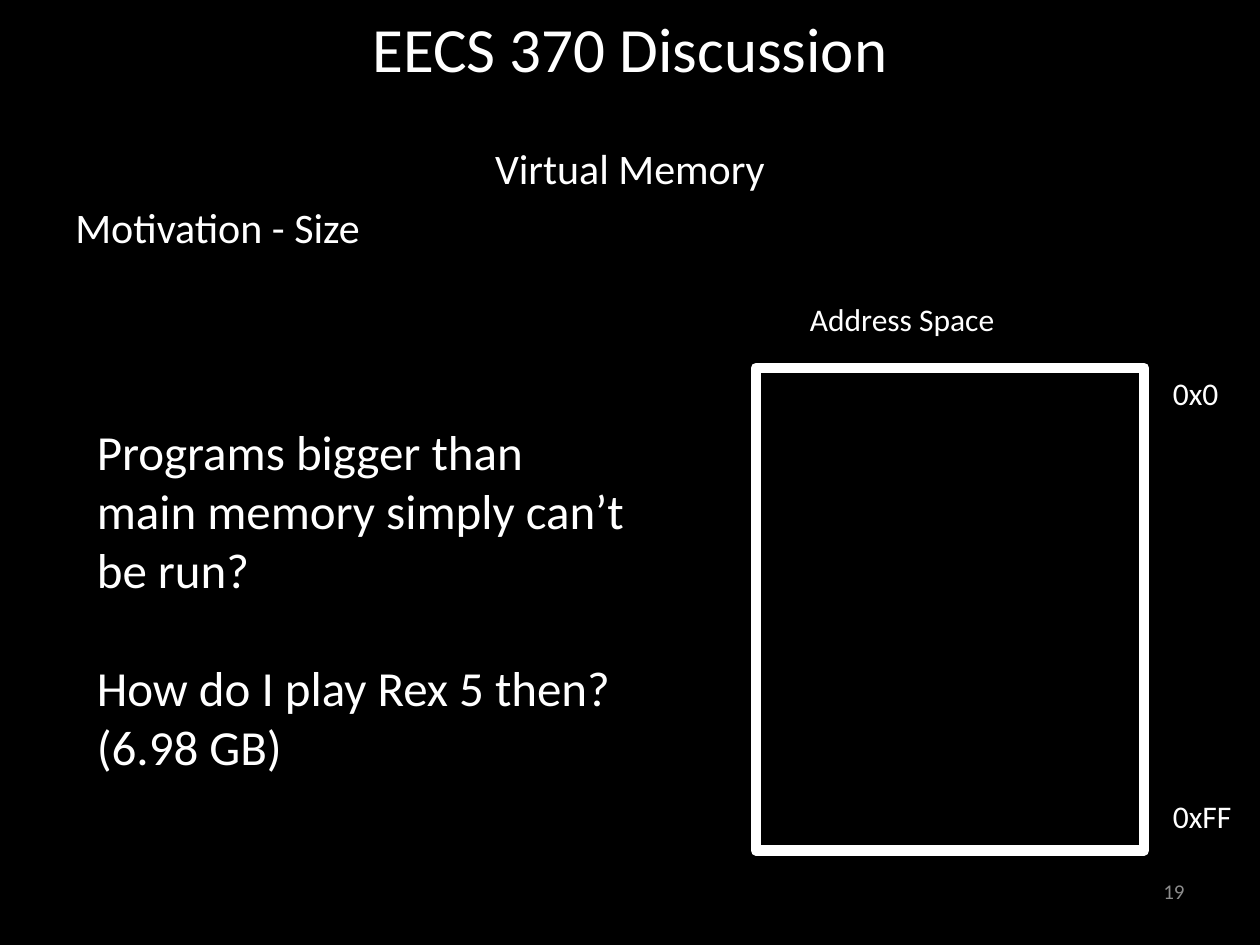
import pptx
import pptx.dml.color
import pptx.enum.shapes
import pptx.enum.text
import pptx.oxml.ns
import pptx.util
from lxml import etree

Inches = pptx.util.Inches
Pt = pptx.util.Pt
ALIGN = pptx.enum.text.PP_ALIGN
ANCHOR = pptx.enum.text.MSO_ANCHOR

COLORS = {"background": "000000", "text": "FFFFFF", "number": "8C8C8C"}


def color(name):
    return pptx.dml.color.RGBColor.from_string(COLORS[name])


class SlideBuilder:
    font_name = "Calibri"

    def __init__(self, slide):
        self.slide = slide
        slide.background.fill.solid()
        slide.background.fill.fore_color.rgb = color("background")

    def set_text(self, shape, paragraphs, size, color_name="text", anchor=ANCHOR.TOP):
        """Fill a shape with (text, alignment, points before) paragraphs."""
        frame = shape.text_frame
        frame.word_wrap = True
        frame.vertical_anchor = anchor
        for index, (text, alignment, space_before) in enumerate(paragraphs):
            paragraph = frame.add_paragraph() if index else frame.paragraphs[0]
            paragraph.text = text
            paragraph.alignment = alignment
            paragraph.space_before = Pt(space_before)
            paragraph.font.name = self.font_name
            paragraph.font.size = Pt(size)
            paragraph.font.color.rgb = color(color_name)

    def text(self, box, paragraphs, size, **style):
        shape = self.slide.shapes.add_textbox(*map(Inches, box))
        self.set_text(shape, paragraphs, size, **style)

    def rectangle(self, box):
        shape = self.slide.shapes.add_shape(
            pptx.enum.shapes.MSO_SHAPE.RECTANGLE, *map(Inches, box))
        shape.shadow.inherit = False
        return shape

    def panel(self, box, paragraphs, size):
        shape = self.rectangle(box)
        shape.fill.solid()
        shape.fill.fore_color.rgb = color("background")
        shape.line.fill.background()
        self.set_text(shape, paragraphs, size)

    def outline(self, box, width):
        """Draw an unfilled rectangle with rounded line joins."""
        shape = self.rectangle(box)
        shape.fill.background()
        shape.line.color.rgb = color("text")
        shape.line.width = Pt(width)
        line = shape.element.spPr.find(pptx.oxml.ns.qn("a:ln"))
        etree.SubElement(line, pptx.oxml.ns.qn("a:round"))


def main():
    presentation = pptx.Presentation()
    presentation.slide_width = Inches(10)
    presentation.slide_height = Inches(7.5)
    builder = SlideBuilder(presentation.slides.add_slide(presentation.slide_layouts[6]))

    builder.text((0.5, -0.25, 9, 1.25), [("EECS 370 Discussion", ALIGN.CENTER, 0)],
                 36, anchor=ANCHOR.MIDDLE)
    builder.text((0.5, 1.08, 9, 5.92),
                 [("Virtual Memory", ALIGN.CENTER, 4.8),
                  ("Motivation - Size", ALIGN.LEFT, 4.8)], 24)
    builder.text((7.17, 6.87, 2.33, 0.4), [("19", ALIGN.RIGHT, 0)], 12,
                 color_name="number", anchor=ANCHOR.MIDDLE)
    builder.panel((0.67, 3.3, 4.42, 2.93),
                  [("Programs bigger than main memory simply can’t be run?", ALIGN.LEFT, 0),
                   ("How do I play Rex 5 then?", ALIGN.LEFT, 34),
                   ("(6.98 GB)", ALIGN.LEFT, 0)], 28)
    builder.outline((6, 2.92, 3.08, 3.83), 6)
    builder.text((6.33, 2.33, 2.58, 0.42), [("Address Space", ALIGN.LEFT, 0)], 18)
    builder.text((9.21, 2.92, 0.79, 3.74),
                 [("0x0", ALIGN.LEFT, 0), ("0xFF", ALIGN.LEFT, 220)], 18)

    presentation.save("out.pptx")


if __name__ == "__main__":
    main()
